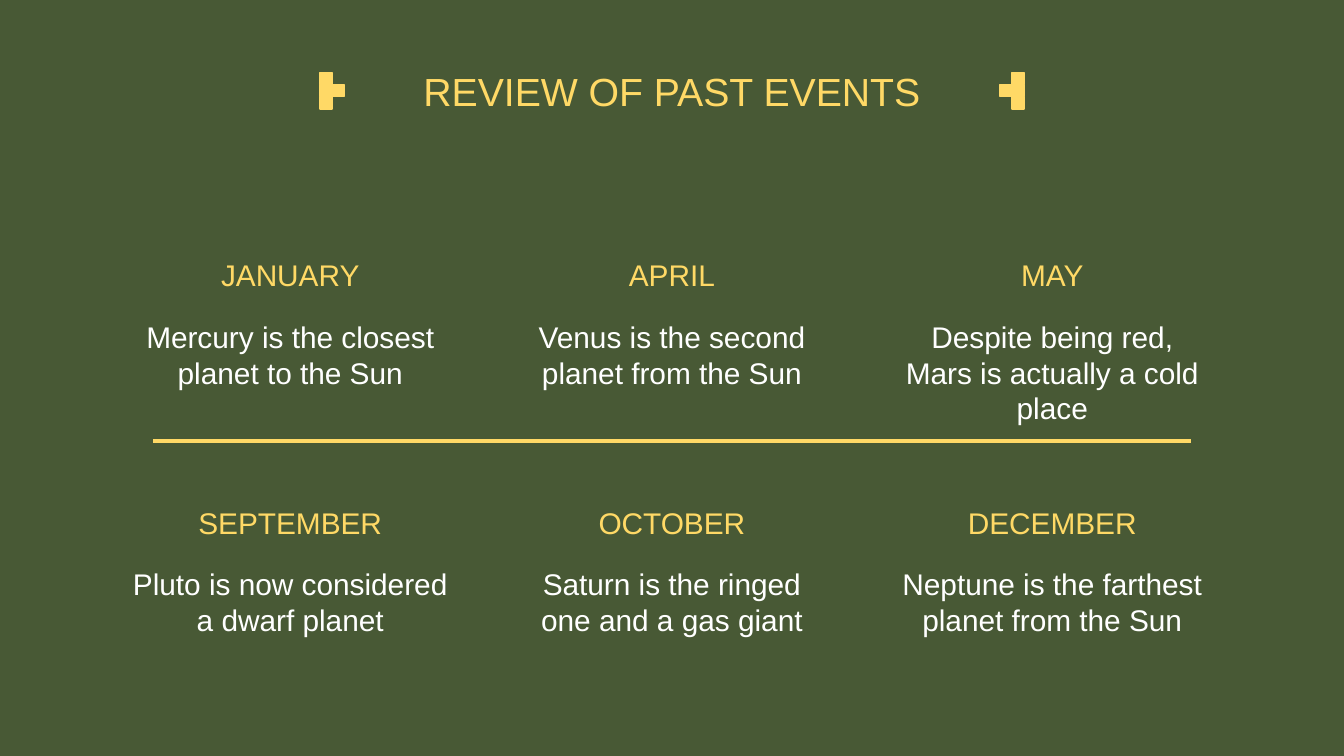
from typing import NamedTuple

from lxml.etree import SubElement
from pptx import Presentation
from pptx.dml.color import RGBColor
from pptx.enum.shapes import MSO_CONNECTOR as Connector, MSO_SHAPE as Preset
from pptx.enum.text import MSO_ANCHOR as Anchor, PP_ALIGN as Align
from pptx.oxml.ns import qn
from pptx.slide import Slide
from pptx.util import Inches, Pt

GREEN = RGBColor(0x48, 0x59, 0x35)
YELLOW = RGBColor(0xFF, 0xD9, 0x66)
WHITE = RGBColor(0xFF, 0xFF, 0xFF)
COLUMNS = (0.89, 3.73, 6.56)
ROWS = (1.85, 3.69)
PIXEL = 0.09


class Event(NamedTuple):
    month: str
    fact: str


class Box(NamedTuple):
    left: float
    top: float
    width: float
    height: float


class Ornament(NamedTuple):
    bar_left: float
    direction: int


EVENTS = (
    Event("JANUARY", "Mercury is the closest planet to the Sun"),
    Event("APRIL", "Venus is the second planet from the Sun"),
    Event("MAY", "Despite being red, Mars is actually a cold place"),
    Event("SEPTEMBER", "Pluto is now considered a dwarf planet"),
    Event("OCTOBER", "Saturn is the ringed one and a gas giant"),
    Event("DECEMBER", "Neptune is the farthest planet from the Sun"),
)
ORNAMENTS = (Ornament(2.38, 1), Ornament(7.53, -1))


def add_text(slide: Slide, box: Box, words: str, size: float,
             color: RGBColor, anchor: Anchor) -> None:
    frame = slide.shapes.add_textbox(*map(Inches, box)).text_frame
    frame.word_wrap = True
    frame.vertical_anchor = anchor
    frame.margin_left = frame.margin_right = Inches(0.1)
    frame.margin_top = frame.margin_bottom = Inches(0.1)
    paragraph = frame.paragraphs[0]
    paragraph.alignment = Align.CENTER
    run = paragraph.add_run()
    run.text = words
    run.font.name = "Arial"
    run.font.size = Pt(size)
    run.font.color.rgb = color


def add_event(slide: Slide, event: Event, left: float, top: float) -> None:
    add_text(slide, Box(left, top, 2.54, 0.43), event.month, 16, YELLOW, Anchor.BOTTOM)
    add_text(slide, Box(left, top + 0.42, 2.54, 0.96), event.fact, 16, WHITE, Anchor.TOP)


def add_ornament(slide: Slide, ornament: Ornament) -> None:
    group = slide.shapes.add_group_shape()
    for column, row in ((0, 0), (0, 1), (0, 2), (ornament.direction, 1)):
        pixel = group.shapes.add_shape(
            Preset.RECTANGLE, Inches(ornament.bar_left + column * PIXEL),
            Inches(0.54 + row * PIXEL), Inches(PIXEL), Inches(PIXEL))
        pixel.shadow.inherit = False
        pixel.fill.solid()
        pixel.fill.fore_color.rgb = YELLOW
        pixel.line.color.rgb = YELLOW
        pixel.line.width = Pt(0.75)


def add_divider(slide: Slide) -> None:
    divider = slide.shapes.add_connector(
        Connector.STRAIGHT, Inches(1.14), Inches(3.28), Inches(8.86), Inches(3.28))
    divider.line.color.rgb = YELLOW
    divider.line.width = Pt(2.25)
    SubElement(divider._element.spPr, qn("a:effectLst"))


def main() -> None:
    """Build the slide that reviews past events month by month."""
    deck = Presentation()
    deck.slide_width = Inches(10)
    deck.slide_height = Inches(10) * 9 // 16
    slide = deck.slides.add_slide(deck.slide_layouts[6])
    slide.background.fill.solid()
    slide.background.fill.fore_color.rgb = GREEN
    add_text(slide, Box(0.34, 0.32, 9.32, 0.63), "REVIEW OF PAST EVENTS",
             21, YELLOW, Anchor.BOTTOM)
    for index, event in enumerate(EVENTS):
        row, column = divmod(index, len(COLUMNS))
        add_event(slide, event, COLUMNS[column], ROWS[row])
    for ornament in ORNAMENTS:
        add_ornament(slide, ornament)
    add_divider(slide)
    deck.save("out.pptx")


if __name__ == "__main__":
    main()
